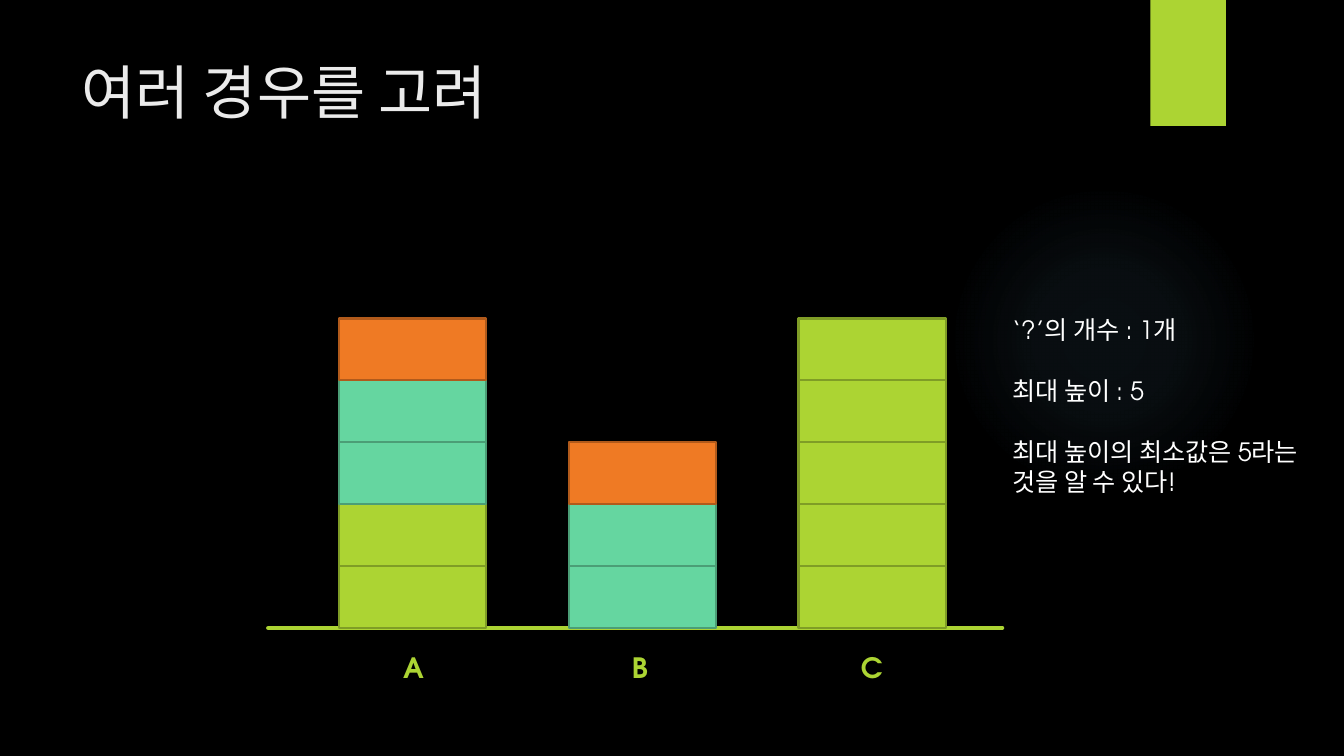
import pptx
import pptx.dml.color
import pptx.enum.shapes
import pptx.enum.text
import pptx.oxml
import pptx.oxml.ns
import pptx.util
from dataclasses import dataclass

Inches = pptx.util.Inches
Pt = pptx.util.Pt
Shape = pptx.enum.shapes.MSO_SHAPE


def rgb(value):
    return pptx.dml.color.RGBColor.from_string(value)


@dataclass(frozen=True)
class Theme:
    font: str = "TeX Gyre Adventor"
    background: str = "000000"
    title: str = "EBEBEB"
    body: str = "FFFFFF"
    accent: str = "ACD433"
    glow: str = "7AC4F0"
    green: tuple = ("ACD433", "7F9D26")
    teal: tuple = ("65D6A0", "4B9E76")
    orange: tuple = ("EF7A24", "B15A1B")
    title_size: int = 42
    label_size: int = 20
    body_size: int = 18


class SlideBuilder:
    def __init__(self, theme, slide):
        self.theme = theme
        self.slide = slide
        slide.background.fill.solid()
        slide.background.fill.fore_color.rgb = rgb(theme.background)

    def block(self, box, fill, outline=None, kind=Shape.RECTANGLE):
        block = self.slide.shapes.add_shape(kind, *map(Inches, box))
        block.shadow.inherit = False
        block.fill.solid()
        block.fill.fore_color.rgb = rgb(fill)
        if outline:
            block.line.color.rgb = rgb(outline)
            block.line.width = Pt(1.5)
        else:
            block.line.fill.background()
        return block

    def glow(self, box, color, stops):
        halo = self.block(box, color, kind=Shape.OVAL)
        marks = "".join(
            f'<a:gs pos="{place * 1000}"><a:srgbClr val="{color}">'
            f'<a:alpha val="{alpha * 1000}"/></a:srgbClr></a:gs>'
            for place, alpha in stops
        )
        gradient = pptx.oxml.parse_xml(
            f'<a:gradFill {pptx.oxml.ns.nsdecls("a")} rotWithShape="1">'
            f'<a:gsLst>{marks}</a:gsLst><a:path path="circle">'
            '<a:fillToRect l="50000" t="50000" r="50000" b="50000"/>'
            '</a:path></a:gradFill>'
        )
        properties = halo.element.spPr
        solid = properties.find(pptx.oxml.ns.qn("a:solidFill"))
        properties.replace(solid, gradient)

    def text(self, box, content, *, size, color, bold=False, wrap=False, gap=0):
        frame = self.slide.shapes.add_textbox(*map(Inches, box)).text_frame
        frame.word_wrap = wrap
        if not wrap:
            frame.auto_size = pptx.enum.text.MSO_AUTO_SIZE.SHAPE_TO_FIT_TEXT
        paragraphs = [content] if isinstance(content, str) else content
        for index, words in enumerate(paragraphs):
            paragraph = frame.add_paragraph() if index else frame.paragraphs[0]
            paragraph.text = words
            paragraph.space_before = Pt(gap if index else 0)
            for run in paragraph.runs:
                run.font.name = self.theme.font
                run.font.size = Pt(size)
                run.font.bold = bold
                run.font.color.rgb = rgb(color)

    def line(self, start, end, color, width):
        line = self.slide.shapes.add_connector(
            pptx.enum.shapes.MSO_CONNECTOR.STRAIGHT, *map(Inches, start + end)
        )
        line.line.color.rgb = rgb(color)
        line.line.width = Pt(width)
        properties = line.element.spPr
        properties.get_or_add_ln().set("cap", "rnd")
        properties.append(
            pptx.oxml.parse_xml(f'<a:effectLst {pptx.oxml.ns.nsdecls("a")}/>')
        )

    def stack(self, left, ground, width, height, layers):
        for level, (fill, outline) in enumerate(layers, start=1):
            self.block((left, ground - level * height, width, height), fill, outline)


def main():
    presentation = pptx.Presentation()
    presentation.slide_width = Inches(13.33)
    presentation.slide_height = Inches(7.5)
    theme = Theme()
    builder = SlideBuilder(
        theme, presentation.slides.add_slide(presentation.slide_layouts[6])
    )

    builder.glow((9.41, 1.83, 3.08, 3.08), theme.glow, [(0, 7), (36, 6), (69, 0)])
    builder.block((11.41, 0, 0.75, 1.25), theme.accent)
    builder.text((0.71, 0.5, 10.29, 1.53), "여러 경우를 고려",
                 size=theme.title_size, color=theme.title, wrap=True)
    findings = ["‘?’의 개수 : 1개", "최대 높이 : 5",
                "최대 높이의 최소값은 5라는\n것을 알 수 있다!"]
    builder.text((9.94, 3.07, 3.33, 1.92), findings,
                 size=theme.body_size, color=theme.body, gap=21.8)

    ground, peak = 6.23, 3.16
    block_height = (ground - peak) / 5
    block_width, first_left, column_step = 1.46, 3.36, 2.28
    builder.line((2.66, ground), (9.94, ground), theme.accent, 3)
    columns = [
        ("A", 3.9, 0.41, [theme.green] * 2 + [theme.teal] * 2 + [theme.orange]),
        ("B", 6.17, 0.36, [theme.teal] * 2 + [theme.orange]),
        ("C", 8.44, 0.42, [theme.green] * 5),
    ]
    for index, (label, label_left, label_width, layers) in enumerate(columns):
        builder.text((label_left, 6.4, label_width, 0.44), label,
                     size=theme.label_size, color=theme.accent, bold=True)
        builder.stack(first_left + index * column_step, ground,
                      block_width, block_height, layers)

    presentation.save("out.pptx")


if __name__ == "__main__":
    main()
